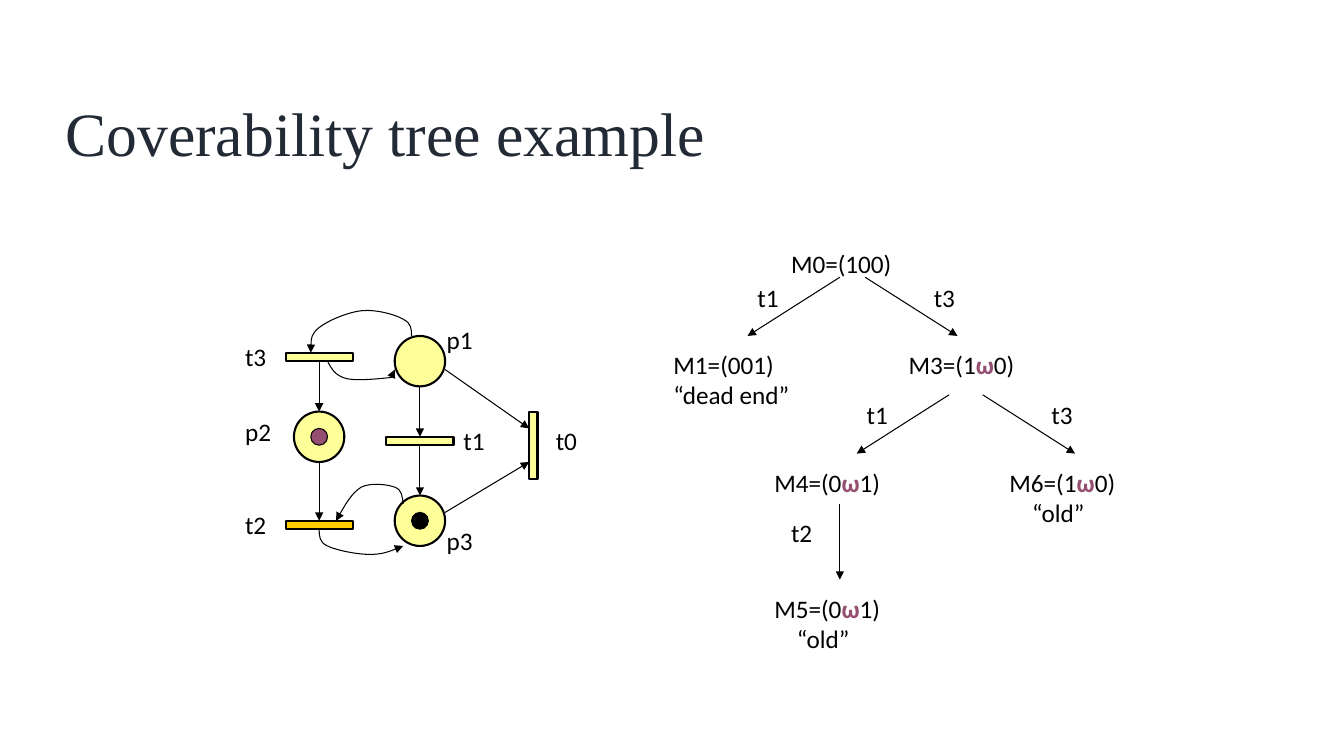
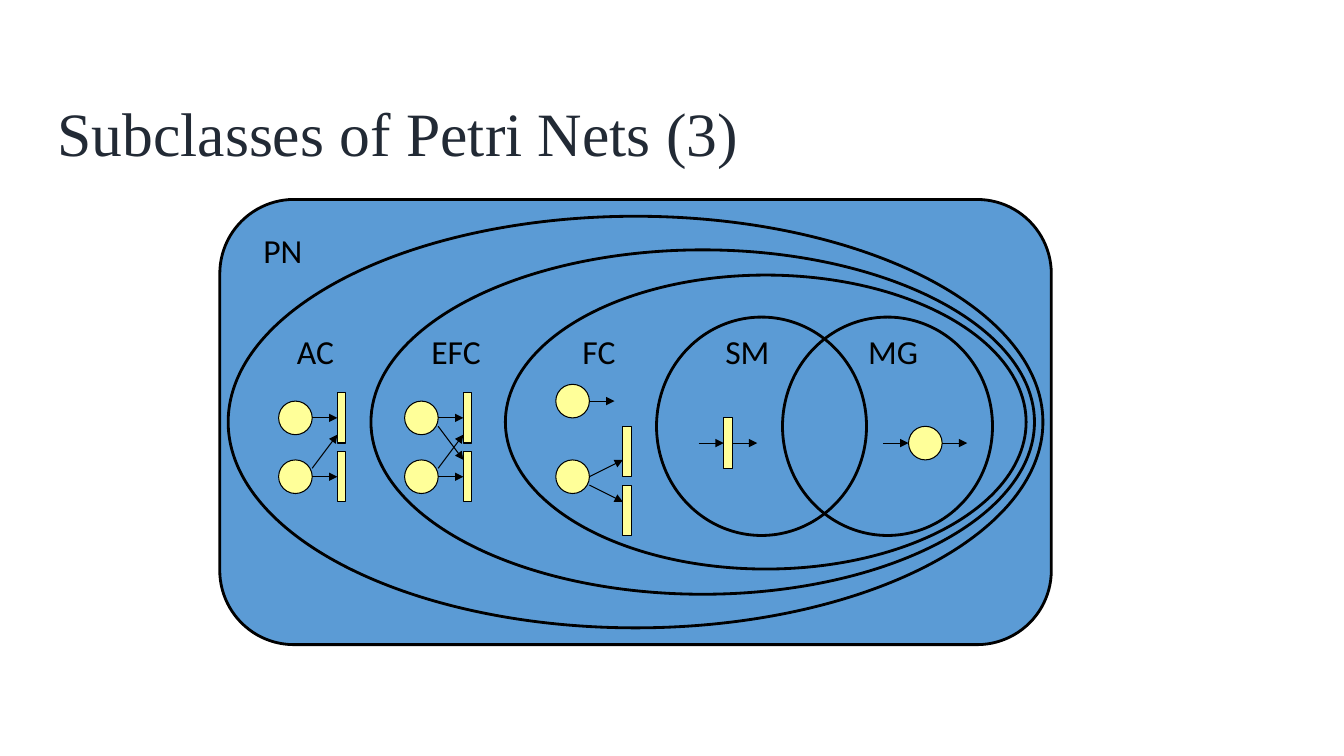
"""Two slides on Petri nets: a coverability tree and the net subclasses."""
from lxml import etree
from pptx import Presentation
from pptx.dml.color import RGBColor
from pptx.enum.shapes import MSO_CONNECTOR, MSO_SHAPE
from pptx.enum.text import MSO_ANCHOR, MSO_AUTO_SIZE
from pptx.oxml.ns import qn
from pptx.util import Cm, Pt

OVAL, RECT, ROUND = MSO_SHAPE.OVAL, MSO_SHAPE.RECTANGLE, MSO_SHAPE.ROUNDED_RECTANGLE
STRAIGHT = MSO_CONNECTOR.STRAIGHT
MIDDLE = MSO_ANCHOR.MIDDLE
FIT = MSO_AUTO_SIZE.SHAPE_TO_FIT_TEXT

BLACK = RGBColor(0x00, 0x00, 0x00)
NAVY = RGBColor(0x22, 0x2A, 0x35)
YELLOW = RGBColor(0xFF, 0xFF, 0x99)
ORANGE = RGBColor(0xFF, 0xCC, 0x00)
PLUM = RGBColor(0x95, 0x4F, 0x72)
BLUE = RGBColor(0x5B, 0x9B, 0xD5)

GRID = 2.54 / 12
INDENT = Cm(0.57)
THIN, MID, THICK = 0.75, 1.5, 2

PLACES = [(47, 59), (35, 49), (47, 40)]
TOKENS = [(37, 51, PLUM), (49, 61, BLACK)]
BARS = [
    (34, 42, 8, 1, YELLOW),
    (34, 62, 8, 1, ORANGE),
    (46, 52, 8, 1, YELLOW),
    (63, 49, 1, 8, YELLOW),
]
ARCS = [
    (50, 46, 50, 52), (38, 43, 38, 49), (38, 55, 38, 62),
    (50, 53, 50, 59), (53, 44, 63, 51), (53, 61, 63, 55),
]
CURVES = [
    [(49, 40), (49, 39.2), (49, 38.5), (48, 38), (47, 37.4), (44.6, 36.8), (43, 37),
     (41.3, 37.2), (39, 38.2), (38, 39), (37, 39.8), (37, 40.9), (37, 42)],
    [(39, 43), (39.4, 43.8), (39.8, 44.6), (41, 45), (42.1, 45.4), (45, 45.1),
     (46, 45), (47, 44.9), (47, 44.4), (47, 44)],
    [(48, 60), (47.9, 59.2), (47.9, 58.3), (47, 58), (46.2, 57.7), (44.2, 57.4),
     (43, 58), (41.9, 58.7), (40.9, 60.4), (40, 62)],
    [(38, 63), (38, 63.7), (38, 64.6), (39, 65), (40, 65.5), (42.5, 66),
     (44, 66), (45.5, 66), (46.8, 65.5), (48, 65)],
]
NAMES = [
    ("t3", 28, 40), ("p2", 28, 49), ("t2", 28, 60), ("p1", 52, 38),
    ("t1", 54, 50), ("p3", 52, 62), ("t0", 65, 50),
    ("t1", 89, 33), ("t3", 110, 33), ("t1", 102, 47), ("t3", 124, 47), ("t2", 93, 61),
]
NODES = [
    ("M0=(100)", "", 93, 29, 14.5),
    ("M1=(001)", "“dead end”", 79, 41, 16.5),
    ("M3=(1ω0)", "", 107, 41, 15),
    ("M4=(0ω1)", "", 91, 55, 15),
    ("M6=(1ω0)", "“old”", 119, 55, 15),
    ("M5=(0ω1)", "“old”", 91, 70, 15),
]
EDGES = [
    (100, 33, 89, 40), (103, 33, 114, 40), (113, 47, 102, 54),
    (117, 47, 128, 54), (100, 60, 100, 69),
]

SETS = [
    (ROUND, 26, 24, 99, 53, BLUE),
    (OVAL, 27, 26, 97, 49, BLUE),
    (OVAL, 44, 30, 79, 41, BLUE),
    (OVAL, 60, 33, 62, 35, BLUE),
    (OVAL, 78, 38, 25, 26, BLUE),
    (OVAL, 93, 38, 25, 26, None),
]
LABELS = [
    ("PN", 30, 27, 10), ("AC", 34, 39, 10), ("EFC", 50, 39, 12),
    ("FC", 68, 39, 10), ("SM", 85, 39, 10), ("MG", 102, 39, 10),
]
PAIR = {
    "dots": [(0, 1), (0, 8)],
    "bars": [(7, 0), (7, 7)],
    "arcs": [(4, 3, 7, 3), (4, 10, 7, 10), (4, 9, 7, 5)],
}
CROSS = {**PAIR, "arcs": PAIR["arcs"] + [(4, 4, 7, 8)]}
FREE = {
    "dots": [(0, 0), (0, 9)],
    "bars": [(8, 5), (8, 12)],
    "arcs": [(4, 2, 7, 2), (4, 11, 8, 9), (4, 12, 8, 14)],
}
STATE = {"dots": [], "bars": [(3, 0)], "arcs": [(0, 3, 3, 3), (4, 3, 7, 3)]}
GRAPH = {"dots": [(3, 0)], "bars": [], "arcs": [(0, 2, 3, 2), (7, 2, 10, 2)]}
NETS = [(33, 47, PAIR), (48, 47, CROSS), (66, 46, FREE), (83, 50, STATE), (105, 51, GRAPH)]


def add_tip(shape):
    line = shape.line
    line.color.rgb, line.width = BLACK, Pt(THIN)
    edge = shape._element.spPr.find(qn("a:ln"))
    etree.SubElement(edge, qn("a:tailEnd"), type="triangle")


def set_text(para, text, size, name="Calibri", color=BLACK):
    font = para.font
    font.size, font.name, font.color.rgb = Pt(size), name, color
    for part in text.partition("ω"):
        if part:
            run = para.add_run()
            run.text = part
            if part == "ω":
                run.font.bold, run.font.color.rgb = True, PLUM


class Board:
    """A slide with a grid of twelfths of an inch, moved by a shift."""

    def __init__(self, deck, title, left, right=0, down=0):
        self.shapes = deck.slides.add_slide(deck.slide_layouts[6]).shapes
        self.right, self.down = right, down
        box = self.shapes.add_textbox(Cm(left), Cm(2.38), Cm(28), Cm(2.12))
        frame = box.text_frame
        frame.word_wrap, frame.vertical_anchor = True, MIDDLE
        para = frame.paragraphs[0]
        para.line_spacing = 0.9
        set_text(para, title, 44, "Times New Roman", NAVY)

    def spot(self, x, y):
        return Cm((x + self.right) * GRID), Cm((y + self.down) * GRID)

    def label(self, lines, x, y, wide, high, size=18, wrap=False):
        box = self.shapes.add_textbox(*self.spot(x, y), Cm(wide * GRID), Cm(high * GRID))
        frame = box.text_frame
        frame.word_wrap, frame.auto_size = wrap, FIT
        for i, text in enumerate(lines):
            para = frame.add_paragraph() if i else frame.paragraphs[0]
            set_text(para, text, size)
            if text == "“old”":
                para._p.get_or_add_pPr().set("marL", str(INDENT))

    def shape(self, kind, x, y, wide, high, fill, line=THIN):
        item = self.shapes.add_shape(kind, *self.spot(x, y), Cm(wide * GRID), Cm(high * GRID))
        item.shadow.inherit = False
        if fill is None:
            item.fill.background()
        else:
            item.fill.solid()
            item.fill.fore_color.rgb = fill
        item.line.color.rgb, item.line.width = BLACK, Pt(line)

    def arrow(self, x, y, to_x, to_y):
        item = self.shapes.add_connector(STRAIGHT, *self.spot(x, y), *self.spot(to_x, to_y))
        add_tip(item)
        etree.SubElement(item._element.spPr, qn("a:effectLst"))

    def curve(self, points):
        start, *rest = [self.spot(*point) for point in points]
        pen = self.shapes.build_freeform(*start)
        pen.add_line_segments(rest, close=False)
        item = pen.convert_to_shape()
        item.shadow.inherit = False
        item.fill.background()
        add_tip(item)
        route = next(item._element.iter(qn("a:path")))
        legs = route.findall(qn("a:lnTo"))
        for i in range(0, len(legs), 3):
            bend = etree.SubElement(route, qn("a:cubicBezTo"))
            for leg in legs[i:i + 3]:
                bend.append(leg[0])
                route.remove(leg)


def draw_tree(deck):
    board = Board(deck, "Coverability tree example", 1.4)
    for x, y in PLACES:
        board.shape(OVAL, x, y, 6, 6, YELLOW, MID)
    for x, y, fill in TOKENS:
        board.shape(OVAL, x, y, 2, 2, fill)
    for bar in BARS:
        board.shape(RECT, *bar, MID)
    for arc in ARCS + EDGES:
        board.arrow(*arc)
    for points in CURVES:
        board.curve(points)
    for name, x, y in NAMES:
        board.label([name], x, y, 5 if name[0] == "t" else 5.5, 4.85)
    for mark, note, x, y, wide in NODES:
        lines = [mark, note] if note else [mark]
        board.label(lines, x, y, wide, 1.2 + 3.65 * len(lines))


def draw_sets(deck):
    board = Board(deck, "Subclasses of Petri Nets (3)", 1.2, 0.17, -0.25)
    for item in SETS:
        board.shape(*item, THICK)
    for text, x, y, wide in LABELS:
        board.label([text], x, y, wide, 6, 24, True)
    for left, top, net in NETS:
        for x, y in net["dots"]:
            board.shape(OVAL, left + x, top + y, 4, 4, YELLOW)
        for x, y in net["bars"]:
            board.shape(RECT, left + x, top + y, 1, 6, YELLOW)
        for x, y, to_x, to_y in net["arcs"]:
            board.arrow(left + x, top + y, left + to_x, top + to_y)


def main():
    deck = Presentation()
    deck.slide_width, deck.slide_height = Cm(33.87), Cm(19.05)
    draw_tree(deck)
    draw_sets(deck)
    deck.save("out.pptx")


if __name__ == "__main__":
    main()
